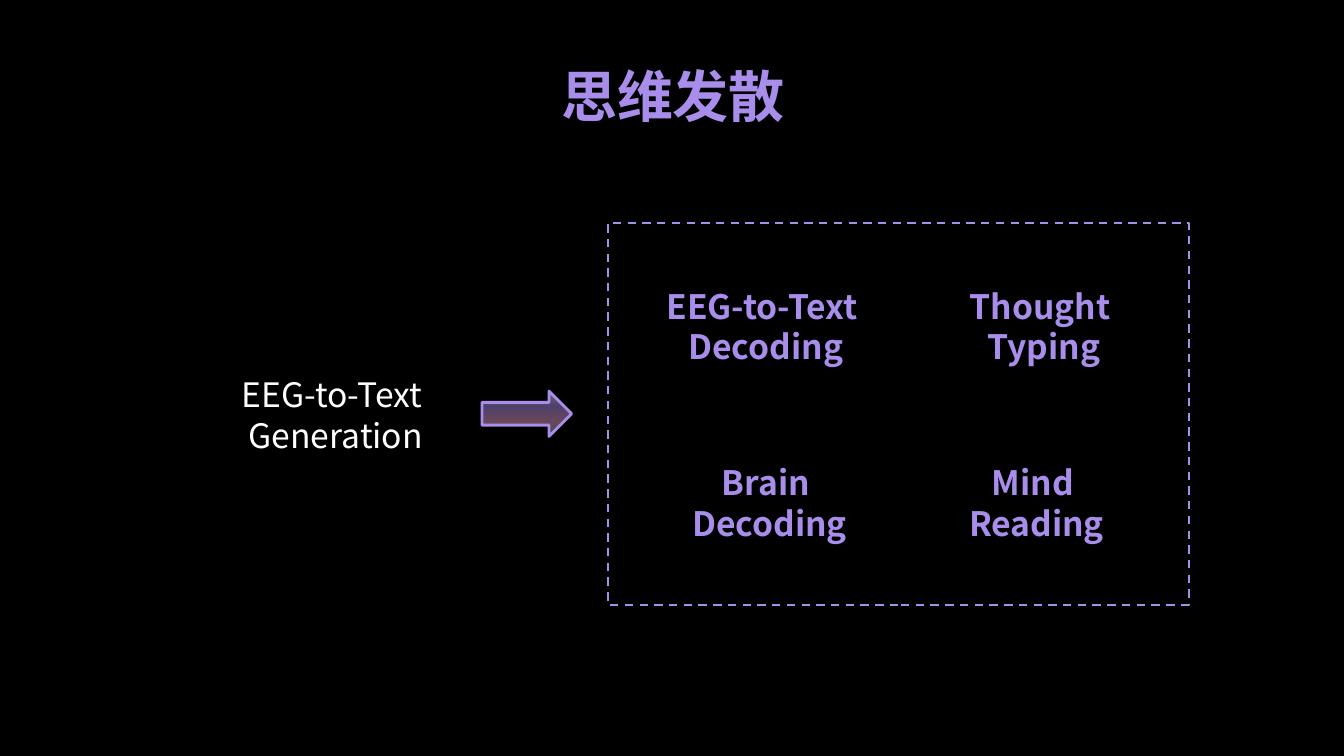
from lxml import etree
from pptx import Presentation
from pptx.dml.color import RGBColor
from pptx.enum.dml import MSO_LINE
from pptx.enum.shapes import MSO_SHAPE
from pptx.enum.text import MSO_ANCHOR, PP_ALIGN
from pptx.oxml.ns import qn
from pptx.util import Inches, Pt

CENTER = PP_ALIGN.CENTER
MIDDLE = MSO_ANCHOR.MIDDLE
DASH = MSO_LINE.DASH
RECTANGLE = MSO_SHAPE.RECTANGLE
RIGHT_ARROW = MSO_SHAPE.RIGHT_ARROW

BLACK = RGBColor(0x00, 0x00, 0x00)
WHITE = RGBColor(0xFF, 0xFF, 0xFF)
PURPLE = RGBColor(0xA8, 0x8D, 0xEB)
FONT = "Noto Sans CJK SC"

TITLE = "思维发散"
TITLE_PLACE = (5.45, 0.56, 2.45, 0.77)
FRAME_PLACE = (6.03, 2.21, 5.76, 3.79)
ARROW_PLACE = (4.78, 3.88, 0.89, 0.45)
ARROW_STOPS = [
    (0, "FCF1EB", 44),
    (35, "A88DEB", 46),
    (69, "EEA0C6", 45),
    (100, "BFF9FF", 31),
]

LABEL_HEIGHT = 0.91
MIDDLE_ROW, TOP_ROW, BOTTOM_ROW = 3.66, 2.78, 4.53
LABELS = [
    (("EEG-to-Text ", "Generation"), 2.23, MIDDLE_ROW, 2.2, WHITE, False),
    (("EEG-to-Text ", "Decoding"), 6.44, TOP_ROW, 2.31, PURPLE, True),
    (("Thought ", "Typing"), 9.48, TOP_ROW, 1.75, PURPLE, True),
    (("Brain", " Decoding"), 6.63, BOTTOM_ROW, 1.93, PURPLE, True),
    (("Mind ", "Reading"), 9.49, BOTTOM_ROW, 1.58, PURPLE, True),
]


def inches(place):
    return [Inches(value) for value in place]


def style_paragraph(para, size, color, bold):
    para.alignment = CENTER
    for span in para.runs:
        span.font.size = Pt(size)
        span.font.bold = bold
        span.font.name = FONT
        span.font.color.rgb = color
        east_asian = etree.SubElement(span.font._element, qn("a:ea"))
        east_asian.set("typeface", FONT)


def add_title(page):
    title = page.shapes.title
    title.left, title.top, title.width, title.height = inches(TITLE_PLACE)
    frame = title.text_frame
    frame.text = TITLE
    frame.word_wrap = False
    frame.vertical_anchor = MIDDLE
    style_paragraph(frame.paragraphs[0], 40, PURPLE, True)


def add_label(page, lines, left, top, width, color, bold):
    box = page.shapes.add_textbox(*inches((left, top, width, LABEL_HEIGHT)))
    frame = box.text_frame
    frame.word_wrap = False
    frame.text = "\n".join(lines)
    for para in frame.paragraphs:
        para.line_spacing = Pt(29)
        style_paragraph(para, 24, color, bold)


def add_outlined(page, kind, place, line_width):
    shape = page.shapes.add_shape(kind, *inches(place))
    shape.shadow.inherit = False
    shape.line.color.rgb = PURPLE
    shape.line.width = Pt(line_width)
    return shape


def fill_gradient(shape, stops):
    shape.fill.gradient()
    shape.fill.gradient_angle = 270
    stop_list = shape._element.spPr.find(qn("a:gradFill")).find(qn("a:gsLst"))
    for old_stop in list(stop_list):
        stop_list.remove(old_stop)
    for position, color, opacity in stops:
        stop = etree.SubElement(stop_list, qn("a:gs"), pos=str(position * 1000))
        tone = etree.SubElement(stop, qn("a:srgbClr"), val=color)
        etree.SubElement(tone, qn("a:alpha"), val=str(opacity * 1000))


def main():
    deck = Presentation()
    deck.slide_width, deck.slide_height = inches((13.33, 7.5))
    page = deck.slides.add_slide(deck.slide_layouts[5])
    page.background.fill.solid()
    page.background.fill.fore_color.rgb = BLACK

    add_title(page)
    for label in LABELS:
        add_label(page, *label)

    arrow = add_outlined(page, RIGHT_ARROW, ARROW_PLACE, 2)
    fill_gradient(arrow, ARROW_STOPS)
    frame = add_outlined(page, RECTANGLE, FRAME_PLACE, 1.5)
    frame.fill.background()
    frame.line.dash_style = DASH

    deck.save("out.pptx")


if __name__ == "__main__":
    main()
